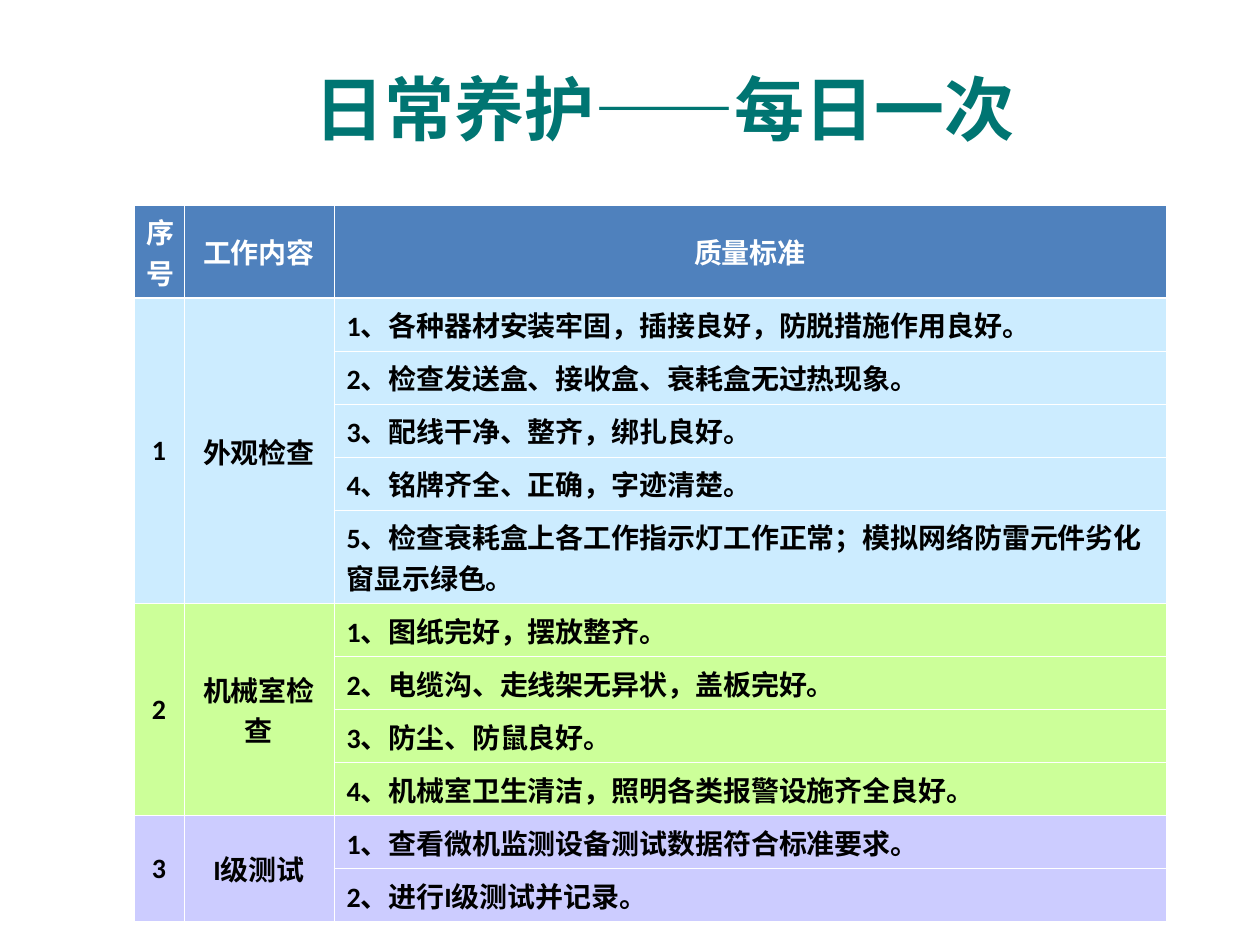
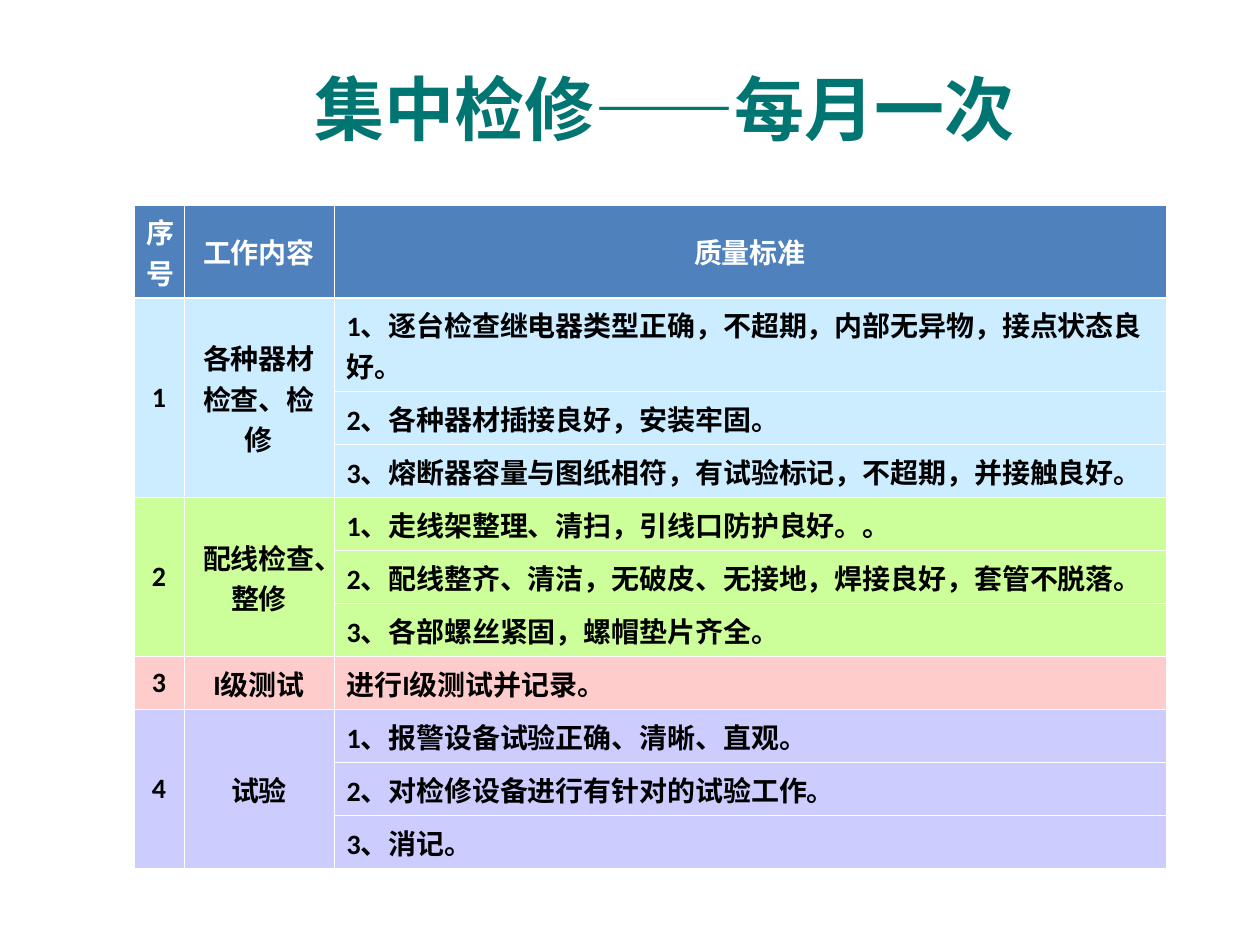
from dataclasses import dataclass

from lxml.etree import SubElement
from pptx import Presentation
from pptx.dml.color import RGBColor
from pptx.enum.text import MSO_ANCHOR, MSO_AUTO_SIZE, PP_ALIGN
from pptx.oxml.ns import qn
from pptx.util import Emu, Pt


@dataclass(frozen=True)
class Theme:
    title: str = "007572"
    head: str = "4F81BD"
    white: str = "FFFFFF"
    ink: str = "000000"
    blue: str = "CCECFF"
    green: str = "CCFF99"
    pink: str = "FFCCCC"
    violet: str = "CCCCFF"
    title_font: str = "Arial"
    body_font: str = "Calibri"
    title_size: int = 40
    body_size: int = 16
    thin: float = 0.45
    thick: float = 1.47


theme = Theme()
COLS = (50, 150, 832)
HEADS = ("序号", "工作内容", "质量标准")
ONE_LINE, TWO_LINES = 53, 93
LINE_CHARS = 30

# Each slide: title, then groups of (work, fill, standards)
SLIDES = [
    ("日常养护——每日一次", [
        ("外观检查", theme.blue, [
            "1、各种器材安装牢固，插接良好，防脱措施作用良好。",
            "2、检查发送盒、接收盒、衰耗盒无过热现象。",
            "3、配线干净、整齐，绑扎良好。",
            "4、铭牌齐全、正确，字迹清楚。",
            "5、检查衰耗盒上各工作指示灯工作正常；模拟网络防雷元件劣化窗显示绿色。",
        ]),
        ("机械室检查", theme.green, [
            "1、图纸完好，摆放整齐。",
            "2、电缆沟、走线架无异状，盖板完好。",
            "3、防尘、防鼠良好。",
            "4、机械室卫生清洁，照明各类报警设施齐全良好。",
        ]),
        ("I级测试", theme.violet, [
            "1、查看微机监测设备测试数据符合标准要求。",
            "2、进行I级测试并记录。",
        ]),
    ]),
    ("集中检修——每月一次", [
        ("各种器材检查、检修", theme.blue, [
            "1、逐台检查继电器类型正确，不超期，内部无异物，接点状态良好。",
            "2、各种器材插接良好，安装牢固。",
            "3、熔断器容量与图纸相符，有试验标记，不超期，并接触良好。",
        ]),
        ("配线检查、整修", theme.green, [
            "1、走线架整理、清扫，引线口防护良好。。",
            "2、配线整齐、清洁，无破皮、无接地，焊接良好，套管不脱落。",
            "3、各部螺丝紧固，螺帽垫片齐全。",
        ]),
        ("I级测试", theme.pink, ["进行I级测试并记录。"]),
        ("试验", theme.violet, [
            "1、报警设备试验正确、清晰、直观。",
            "2、对检修设备进行有针对的试验工作。",
            "3、消记。",
        ]),
    ]),
]


def px(count):
    return Emu(round(count * 914400 / 126))


def style(frame, font, size, color, align):
    """Format the only paragraph of a text frame."""
    para = frame.paragraphs[0]
    para.alignment = align
    for run in para.runs:
        run.font.name = font
        run.font.size = Pt(size)
        run.font.bold = True
        run.font.color.rgb = RGBColor.from_string(color)


deck = Presentation()
deck.slide_width, deck.slide_height = px(1260), px(945)

for title, groups in SLIDES:
    slide = deck.slides.add_slide(deck.slide_layouts[5])
    head = slide.shapes.title
    head.left, head.top, head.width, head.height = map(px, (243, 63, 843, 89))
    frame = head.text_frame
    frame.text = title
    frame.auto_size = MSO_AUTO_SIZE.NONE
    frame.vertical_anchor = MSO_ANCHOR.MIDDLE
    style(frame, theme.title_font, theme.title_size, theme.title, PP_ALIGN.CENTER)

    # Only the first row of a group names its number and work
    rows = [(HEADS, theme.head, TWO_LINES)]
    spans = []
    for number, (work, fill, items) in enumerate(groups, 1):
        spans.append((len(rows), len(rows) + len(items) - 1))
        for i, item in enumerate(items):
            lead = ("", "") if i else (str(number), work)
            height = TWO_LINES if len(item) > LINE_CHARS else ONE_LINE
            rows.append(((*lead, item), fill, height))

    total = sum(height for _, _, height in rows)
    table = slide.shapes.add_table(
        len(rows), len(COLS), px(134), px(205), px(sum(COLS)), px(total)).table
    for col, width in zip(table.columns, COLS):
        col.width = px(width)

    for r, (texts, fill, height) in enumerate(rows):
        table.rows[r].height = px(height)
        for c, text in enumerate(texts):
            cell = table.cell(r, c)
            props = cell._tc.get_or_add_tcPr()
            for side in "LRTB":
                bold = (r, side) in ((0, "B"), (1, "T"))
                weight = theme.thick if bold else theme.thin
                line = SubElement(props, qn(f"a:ln{side}"), w=str(Pt(weight)))
                solid = SubElement(line, qn("a:solidFill"))
                SubElement(solid, qn("a:srgbClr"), val=theme.white)
            cell.fill.solid()
            cell.fill.fore_color.rgb = RGBColor.from_string(fill)
            if not text:
                continue
            cell.text_frame.text = text
            mid = r == 0 or c < 2
            cell.vertical_anchor = MSO_ANCHOR.MIDDLE if mid else MSO_ANCHOR.TOP
            style(cell.text_frame, theme.body_font, theme.body_size,
                  theme.ink if r else theme.white,
                  PP_ALIGN.CENTER if mid else PP_ALIGN.LEFT)

    for first, last in spans:
        if last > first:
            for c in (0, 1):
                table.cell(first, c).merge(table.cell(last, c))

deck.save("out.pptx")
